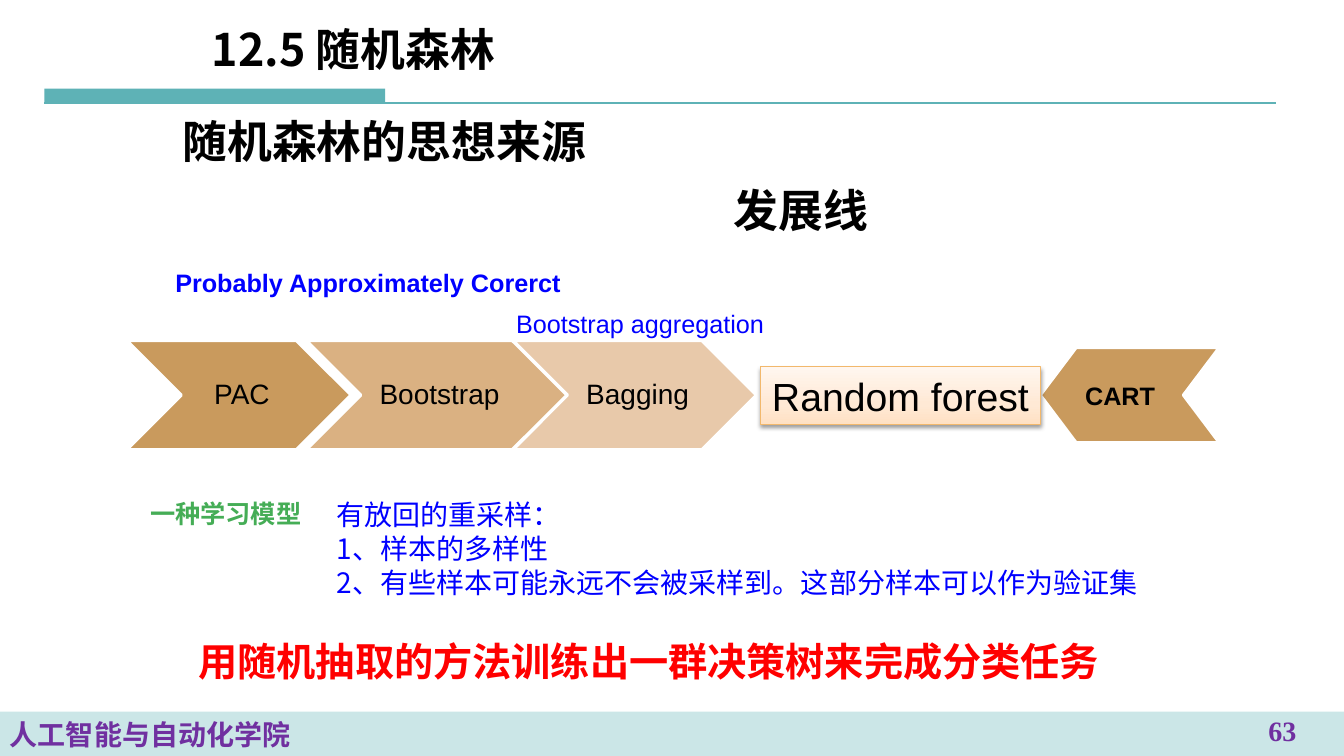
from lxml import etree
from pptx import Presentation
from pptx.dml.color import RGBColor
from pptx.enum.shapes import MSO_CONNECTOR, MSO_SHAPE
from pptx.enum.text import MSO_ANCHOR, MSO_AUTO_SIZE, PP_ALIGN
from pptx.oxml import parse_xml
from pptx.oxml.ns import nsdecls, qn
from pptx.util import Inches, Pt

BLACK = RGBColor(0x00, 0x00, 0x00)
WHITE = RGBColor(0xFF, 0xFF, 0xFF)
TEAL = RGBColor(0x5E, 0xB2, 0xB6)
PURPLE = RGBColor(0x70, 0x30, 0xA0)
BLUE = RGBColor(0x00, 0x00, 0xFF)
RED = RGBColor(0xFF, 0x00, 0x00)
GREEN = RGBColor(0x45, 0xAD, 0x56)
BROWN = RGBColor(0xC9, 0x9A, 0x5D)
TAN = RGBColor(0xDA, 0xB1, 0x82)
SAND = RGBColor(0xE8, 0xC9, 0xAA)
ORANGE = RGBColor(0xF2, 0xB8, 0x6C)
FOREST_STOPS = [(0, "FFE1C4"), (35, "FFE9D5"), (100, "FFF6EF")]
SANS, CJK, SERIF = "Arial", "Noto Sans CJK SC", "Times New Roman"
WIDTH, HEIGHT = 13.33, 7.5


def write(sp, text, size, color=BLACK, bold=False, font=SANS, align=PP_ALIGN.LEFT,
          anchor=MSO_ANCHOR.TOP, wrap=True, grow=False):
    tf = sp.text_frame
    tf.text = text
    tf.word_wrap = wrap
    tf.vertical_anchor = anchor
    tf.auto_size = MSO_AUTO_SIZE.SHAPE_TO_FIT_TEXT if grow else MSO_AUTO_SIZE.NONE
    for p in tf.paragraphs:
        p.alignment = align
        p.font.name, p.font.size, p.font.bold = font, Pt(size), bold
        p.font.color.rgb = color
        for r in p.runs:
            etree.SubElement(r.font._element, qn("a:ea"), typeface=CJK)
    return tf


def add_text(slide, box, text, size, **style):
    sp = slide.shapes.add_textbox(*map(Inches, box))
    return write(sp, text, size, **style)


def paint(sp, fill, line=None, width=2):
    sp.shadow.inherit = False
    sp.fill.solid()
    sp.fill.fore_color.rgb = fill
    if line is None:
        sp.line.fill.background()
    else:
        sp.line.color.rgb = line
        sp.line.width = Pt(width)


def add_block(slide, kind, box, fill, line=None):
    sp = slide.shapes.add_shape(kind, *map(Inches, box))
    paint(sp, fill, line)
    return sp


def add_header_rule(slide, left, top, width, height):
    add_block(slide, MSO_SHAPE.RECTANGLE, (left, top, 3.38, height), TEAL)
    base = Inches(top + height)
    rule = slide.shapes.add_connector(
        MSO_CONNECTOR.STRAIGHT, Inches(left), base, Inches(left + width), base)
    rule.line.color.rgb = TEAL
    rule.line.width = Pt(1.5)
    etree.SubElement(rule._element.spPr, qn("a:effectLst"))


def add_footer(slide, top, number):
    band = add_block(slide, MSO_SHAPE.RECTANGLE, (0, top, WIDTH, HEIGHT - top), TEAL)
    color = band.fill._xPr.find(".//" + qn("a:srgbClr"))
    etree.SubElement(color, qn("a:alpha"), val="32000")
    write(band, "人工智能与自动化学院", 20, color=PURPLE, bold=True, anchor=MSO_ANCHOR.MIDDLE)
    add_text(slide, (12.11, top - 0.03, 1.22, 0.39), number, 20,
             color=PURPLE, bold=True, font=SERIF, align=PP_ALIGN.CENTER)


def add_headings(slide):
    title = slide.shapes.title
    title.left, title.top, title.width, title.height = map(Inches, (1.71, 1.08, 6.75, 0.62))
    heading = dict(size=32, bold=True, font=CJK, anchor=MSO_ANCHOR.MIDDLE)
    write(title, "随机森林的思想来源", **heading)
    add_text(slide, (2, 0.17, 6.75, 0.62), "12.5 随机森林", **heading)


def add_stage(slide, left, top, width, height, name, fill):
    """Chevron with its label between the notch and the point."""
    add_block(slide, MSO_SHAPE.CHEVRON, (left, top, width, height), fill, WHITE)
    tf = add_text(slide, (left + height / 2, top, width - height, height), name, 20,
                  align=PP_ALIGN.CENTER, anchor=MSO_ANCHOR.MIDDLE)
    tf.margin_left = Inches(0.09)
    tf.margin_top = tf.margin_right = tf.margin_bottom = Inches(0.03)
    tf.paragraphs[0].line_spacing = 0.9


def add_cart(slide, left, top, width, height):
    """Chevron pointing left, towards the forest box."""
    right, bottom, middle = left + width, top + height, top + height / 2
    notch = 0.2 * width
    outline = [(right - notch, middle), (right, top), (left + notch, top),
               (left, middle), (left + notch, bottom)]
    builder = slide.shapes.build_freeform(Inches(right), Inches(bottom))
    builder.add_line_segments([(Inches(x), Inches(y)) for x, y in outline], close=True)
    paint(builder.convert_to_shape(), BROWN, WHITE)
    add_text(slide, (left + 0.34, middle - 0.2, 0.9, 0.4), "CART", 18,
             bold=True, align=PP_ALIGN.CENTER, wrap=False, grow=True)


def add_forest(slide, *box):
    sp = add_block(slide, MSO_SHAPE.RECTANGLE, box, WHITE, ORANGE)
    sp.line.width = Pt(0.75)
    sp.fill.gradient()
    sp.fill.gradient_angle = 90
    stops = sp._element.spPr.find(".//" + qn("a:gsLst"))
    for stop in list(stops):
        stops.remove(stop)
    for share, color in FOREST_STOPS:
        stop = etree.SubElement(stops, qn("a:gs"), pos=str(share * 1000))
        etree.SubElement(stop, qn("a:srgbClr"), val=color)
    sp._element.spPr.find(qn("a:effectLst")).append(parse_xml(
        f'<a:outerShdw {nsdecls("a")} blurRad="{Pt(3.1)}" dist="{Pt(1.6)}" dir="5400000" '
        'rotWithShape="0"><a:srgbClr val="000000"><a:alpha val="38000"/></a:srgbClr>'
        '</a:outerShdw>'))
    write(sp, "Random forest", 28, align=PP_ALIGN.CENTER, wrap=False, grow=True)


def add_timeline(slide, top, height):
    for left, width, name, fill in [(1.26, 2.22, "PAC", BROWN),
                                    (3.04, 2.58, "Bootstrap", TAN),
                                    (5.09, 2.41, "Bagging", SAND)]:
        add_stage(slide, left, top, width, height, name, fill)
    add_cart(slide, 10.32, top + 0.07, 1.77, 0.94)
    add_forest(slide, 7.54, top + 0.26, 2.78, 0.57)


def add_notes_around_timeline(slide):
    label = dict(wrap=False, grow=True)
    add_text(slide, (7.17, 1.76, 1.55, 0.64), "发展线", 32, bold=True,
             align=PP_ALIGN.CENTER, **label)
    add_text(slide, (1.64, 2.6, 4.06, 0.4), "Probably Approximately Corerct", 18,
             color=BLUE, bold=True, **label)
    add_text(slide, (5.02, 3.01, 2.68, 0.4), "Bootstrap aggregation", 18, color=BLUE, **label)
    add_text(slide, (1.39, 4.89, 1.73, 0.4), "一种学习模型", 18, color=GREEN, bold=True, **label)
    add_text(slide, (3.24, 4.89, 8.83, 1.11),
             "有放回的重采样：\n1、样本的多样性\n"
             "2、有些样本可能永远不会被采样到。这部分样本可以作为验证集",
             20, color=BLUE, font=CJK, grow=True)
    add_text(slide, (1.8, 6.27, 9.27, 0.57), "用随机抽取的方法训练出一群决策树来完成分类任务",
             28, color=RED, bold=True, align=PP_ALIGN.CENTER, **label)


def main():
    prs = Presentation()
    prs.slide_width, prs.slide_height = Inches(WIDTH), Inches(HEIGHT)
    slide = prs.slides.add_slide(prs.slide_layouts[5])
    add_header_rule(slide, 0.44, 0.88, 12.22, 0.14)
    add_footer(slide, 7.06, "63")
    add_headings(slide)
    add_timeline(slide, 3.38, 1.08)
    add_notes_around_timeline(slide)
    prs.save("out.pptx")


if __name__ == "__main__":
    main()
